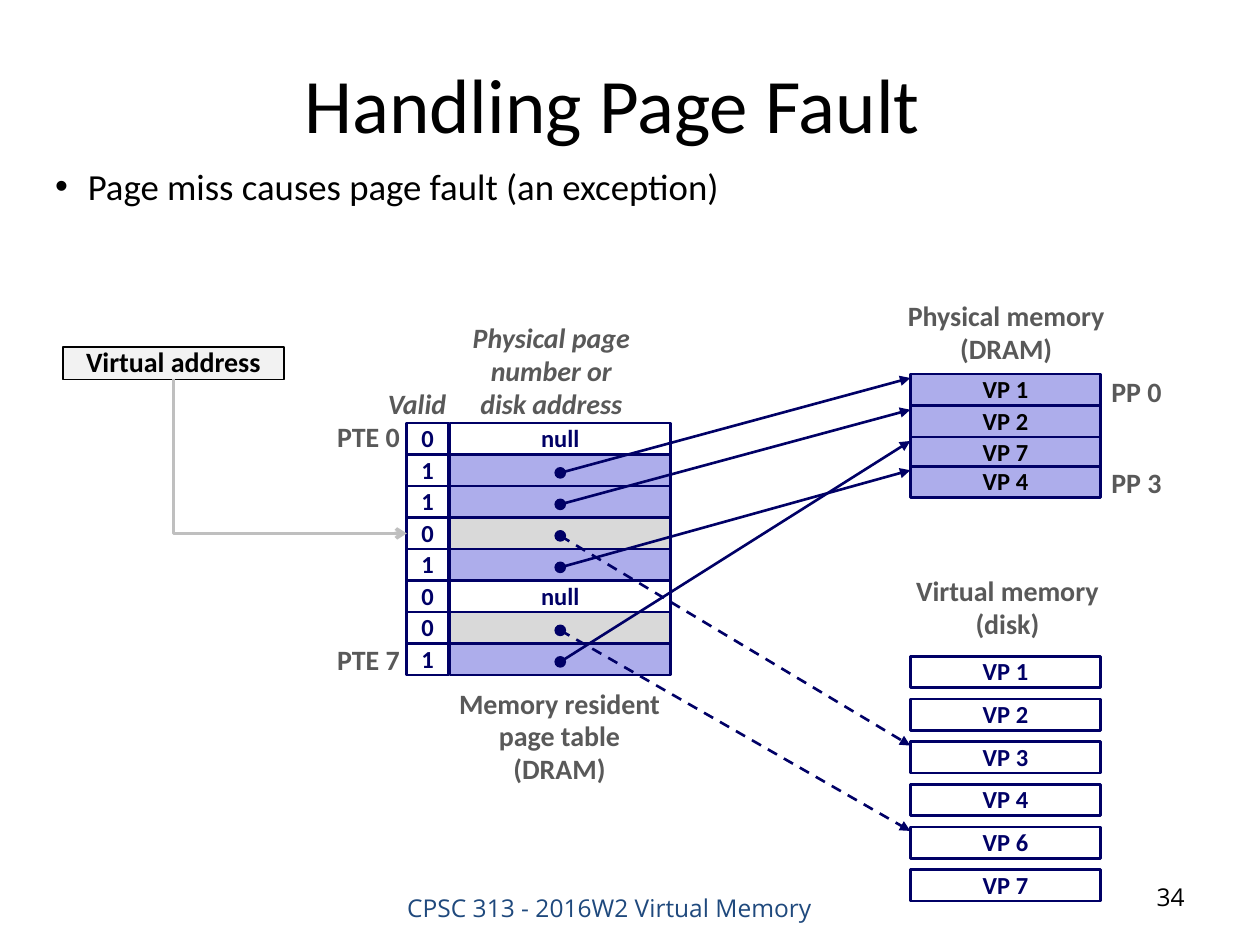
from lxml import etree
from pptx import Presentation
from pptx.dml.color import RGBColor
from pptx.enum.dml import MSO_LINE
from pptx.enum.shapes import MSO_CONNECTOR, MSO_SHAPE
from pptx.enum.text import MSO_ANCHOR, PP_ALIGN
from pptx.oxml.ns import qn
from pptx.util import Cm, Pt

LEFT, CENTER, RIGHT = PP_ALIGN.LEFT, PP_ALIGN.CENTER, PP_ALIGN.RIGHT
TOP, MIDDLE = MSO_ANCHOR.TOP, MSO_ANCHOR.MIDDLE
RECT, OVAL = MSO_SHAPE.RECTANGLE, MSO_SHAPE.OVAL
STRAIGHT, ELBOW = MSO_CONNECTOR.STRAIGHT, MSO_CONNECTOR.ELBOW
DASH = MSO_LINE.DASH

THEME = {
    "navy": "000066", "cached": "ADADEB", "on_disk": "D9D9D9", "white": "FFFFFF",
    "black": "000000", "address": "F2F2F2", "pointer": "BFBFBF",
    "title": dict(size=44, name="Calibri", color="000000"),
    "body": dict(size=21, name="Calibri", color="000000"),
    "label": dict(size=16, name="Calibri", color="595959", bold=True),
    "heading": dict(size=16, name="Calibri", color="595959", bold=True, italic=True),
    "entry": dict(size=14, name="Calibri", color="000066", bold=True),
    "page": dict(size=14, name="Calibri", color="000000", bold=True),
    "virtual": dict(size=16, name="Calibri", color="000000", bold=True),
    "footer": dict(size=14, name="Open Sans", color="1F497D"),
    "number": dict(size=14, name="Open Sans", color="000000"),
}

TEXTS = [
    (["CPSC 313 - 2016W2 Virtual Memory"], (6.88, 17.91, 10.82, 0.76), "footer", CENTER, MIDDLE),
    (["Handling Page Fault"], (0.84, 0.99, 23.01, 2.18), "title", CENTER, MIDDLE),
    (["34"], (18.21, 17.65, 5.92, 1.02), "number", RIGHT, TOP),
]
BULLET = (["Page miss causes page fault (an exception)"], (0.86, 3.18, 23.09, 2.11), "body", LEFT, TOP)
LABELS = [
    (["Memory resident", "page table", "(DRAM)"], (8.97, 13.74, 4.62, 2.29), "label", CENTER, TOP),
    (["Physical memory", "(DRAM)"], (18.01, 5.92, 4.55, 1.6), "label", CENTER, TOP),
    (["Virtual memory", "(disk)"], (18.19, 11.48, 4.24, 1.6), "label", CENTER, TOP),
    (["Valid"], (7.57, 7.7, 1.91, 0.94), "heading", LEFT, TOP),
    (["Physical page", "number or", "disk address"], (9.25, 6.35, 3.73, 2.29), "heading", CENTER, MIDDLE),
    (["PTE 0"], (6.53, 8.36, 1.78, 0.94), "label", RIGHT, MIDDLE),
    (["PTE 7"], (6.53, 12.85, 1.78, 0.94), "label", RIGHT, MIDDLE),
    (["PP 0"], (22.15, 7.44, 1.52, 0.94), "label", CENTER, MIDDLE),
    (["PP 3"], (22.15, 9.27, 1.52, 0.94), "label", CENTER, MIDDLE),
]

PAGE_TABLE = [
    ("0", None), ("1", "VP 1"), ("1", "VP 2"), ("0", "VP 3"),
    ("1", "VP 4"), ("0", None), ("0", "VP 6"), ("1", "VP 7"),
]
DRAM_TOPS = {"VP 1": 7.54, "VP 2": 8.18, "VP 7": 8.81, "VP 4": 9.4}
DISK_PAGES = ["VP 1", "VP 2", "VP 3", "VP 4", "VP 6", "VP 7"]

TABLE_TOP, TABLE_H = 8.53, 5.08
ROW_H = TABLE_H / len(PAGE_TABLE)
VALID_X, VALID_W = 8.2, 0.84
ENTRY_X, ENTRY_W = 9.07, 4.45
MEMORY_X, MEMORY_W = 18.35, 3.84
DISK_TOP, DISK_PITCH = 13.23, 0.86
DISK_TOPS = {page: DISK_TOP + i * DISK_PITCH for i, page in enumerate(DISK_PAGES)}
DOT, DOT_DROP, TIP_DROP = 0.2, 0.05, 0.08
VIRTUAL_ADDRESS = (1.27, 6.99, 4.45, 0.66)
FAULT_ROW = 3


def rgb(color):
    return RGBColor.from_string(color)


def write(tf, lines, style, align=CENTER, anchor=MIDDLE, wrap=False, spacing=None):
    for name, value in dict(word_wrap=wrap, vertical_anchor=anchor).items():
        setattr(tf, name, value)
    fmt = dict(THEME[style])
    color = rgb(fmt.pop("color"))
    fmt["size"] = Pt(fmt["size"])
    for i, line in enumerate(lines):
        p = tf.paragraphs[0] if i == 0 else tf.add_paragraph()
        p.alignment, p.line_spacing = align, spacing
        r = p.add_run()
        r.text = line
        for name, value in fmt.items():
            setattr(r.font, name, value)
        r.font.color.rgb = color


def add_text(s, lines, box, style, align, anchor, **options):
    tb = s.shapes.add_textbox(*map(Cm, box))
    write(tb.text_frame, lines, style, align, anchor, **options)
    return tb


def add_box(s, box, fill, text=None, style="entry", kind=RECT, line="navy", width=1.5):
    sp = s.shapes.add_shape(kind, *map(Cm, box))
    sp.shadow.inherit = False
    if fill:
        sp.fill.solid()
        sp.fill.fore_color.rgb = rgb(THEME[fill])
    else:
        sp.fill.background()
    sp.line.color.rgb = rgb(THEME[line])
    sp.line.width = Pt(width)
    if text:
        write(sp.text_frame, [text], style, spacing=0.98)


def add_arrow(s, start, end, color="navy", width=1.5, head="triangle", kind=STRAIGHT, dash=None):
    cx = s.shapes.add_connector(kind, *map(Cm, (*start, *end)))
    cx.line.color.rgb = rgb(THEME[color])
    cx.line.width = Pt(width)
    if dash:
        cx.line.dash_style = dash
    etree.SubElement(cx.line._get_or_add_ln(), qn("a:tailEnd"), type=head)
    etree.SubElement(cx._element.spPr, qn("a:effectLst"))
    return cx


def add_corner_arrow(s, start, end, **options):
    mid_x, mid_y = (start[0] + end[0]) / 2, (start[1] + end[1]) / 2
    half_w, half_h = (end[0] - start[0]) / 2, (end[1] - start[1]) / 2
    cx = add_arrow(s, (mid_x - half_h, mid_y - half_w), (mid_x + half_h, mid_y + half_w),
                   kind=ELBOW, **options)
    spPr = cx._element.spPr
    spPr.find(qn("a:prstGeom")).set("prst", "bentConnector2")
    xfrm = spPr.find(qn("a:xfrm"))
    xfrm.set("rot", str(270 * 60000))
    xfrm.set("flipH", "1")


def add_bullet(s):
    p = add_text(s, *BULLET, wrap=True).text_frame.paragraphs[0]
    p.space_before = Pt(4)
    pPr = p._p.get_or_add_pPr()
    pPr.set("marL", str(Cm(0.66)))
    pPr.set("indent", str(-Cm(0.66)))
    etree.SubElement(pPr, qn("a:buFont"), typeface="Arial")
    etree.SubElement(pPr, qn("a:buChar"), char="•")


def add_page_table(s):
    links = []
    for i, (valid, page) in enumerate(PAGE_TABLE):
        y = TABLE_TOP + i * ROW_H
        fill = "white" if page is None else "cached" if valid == "1" else "on_disk"
        add_box(s, (ENTRY_X, y, ENTRY_W, ROW_H), fill, None if page else "null")
        add_box(s, (VALID_X, y, VALID_W, ROW_H), None, valid)
        if page:
            links.append((valid, page, (ENTRY_X + ENTRY_W / 2, y + ROW_H / 2 + DOT_DROP)))
    for valid, page, (x, y) in links:
        tops, dash = (DRAM_TOPS, None) if valid == "1" else (DISK_TOPS, DASH)
        add_box(s, (x - DOT / 2, y - DOT / 2, DOT, DOT), "navy", kind=OVAL, width=1)
        add_arrow(s, (x, y), (MEMORY_X, tops[page] + TIP_DROP), dash=dash)


def main():
    prs = Presentation()
    prs.slide_width, prs.slide_height = Cm(25.4), Cm(19.05)
    s = prs.slides.add_slide(prs.slide_layouts[6])
    for text in TEXTS:
        add_text(s, *text, wrap=True)
    add_bullet(s)
    for tops, fill, style in ((DRAM_TOPS, "cached", "page"), (DISK_TOPS, "white", "entry")):
        for page, y in tops.items():
            add_box(s, (MEMORY_X, y, MEMORY_W, ROW_H), fill, page, style)
    add_page_table(s)
    for label in LABELS:
        add_text(s, *label, spacing=0.98)
    add_box(s, VIRTUAL_ADDRESS, "address", "Virtual address", "virtual", line="black", width=1)
    x, y, w, h = VIRTUAL_ADDRESS
    add_corner_arrow(s, (x + w / 2, y + h), (VALID_X, TABLE_TOP + (FAULT_ROW + 0.5) * ROW_H),
                     color="pointer", width=2, head="arrow")
    prs.save("out.pptx")


if __name__ == "__main__":
    main()
